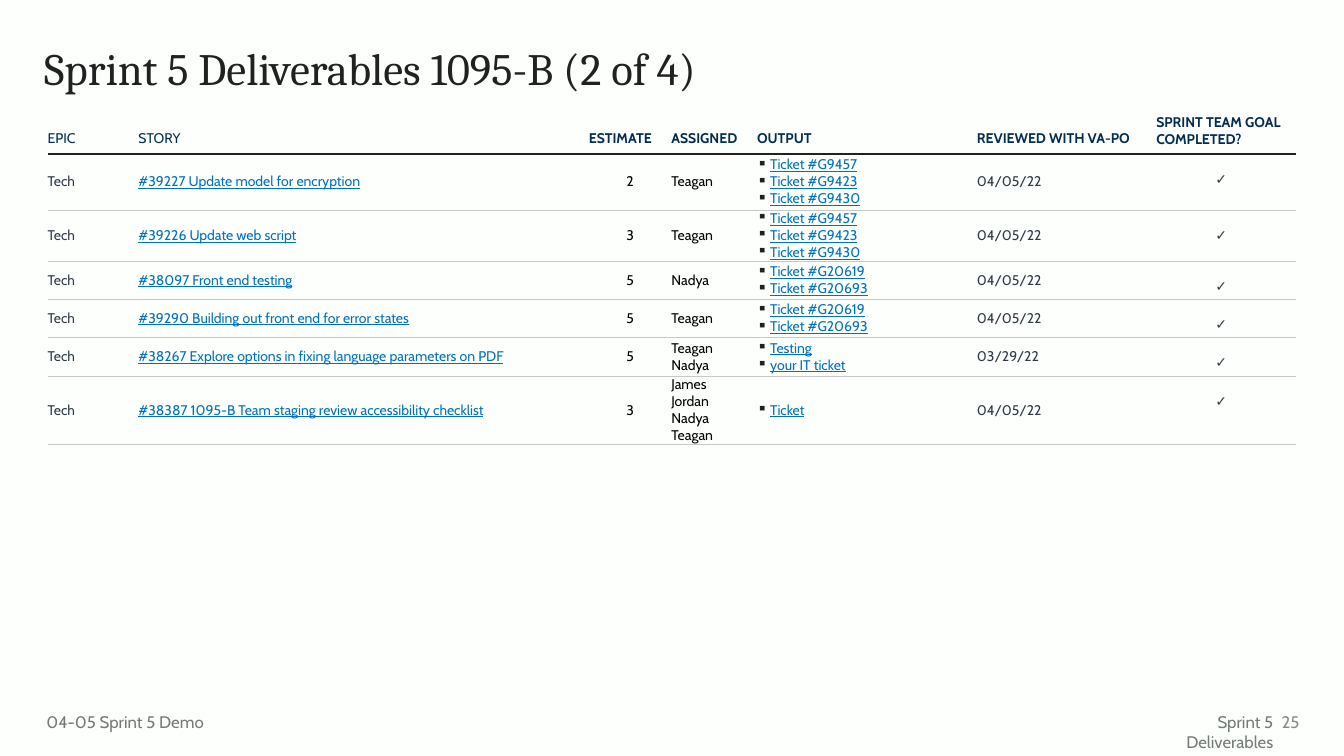
from dataclasses import dataclass

from lxml import etree
from pptx import Presentation
from pptx import util as u
from pptx.dml.color import RGBColor
from pptx.enum import text as t
from pptx.oxml import ns

COLORS = {
    "background": "FDFFFD", "ink": "202120", "header": "022D50", "body": "303A46",
    "link": "0071C0", "black": "000000", "rule": "C7C8C7", "footer": "747C74",
    "page": "8A8A8A",
}
NO_STYLE_NO_GRID = "{2D5ABB26-0587-4C30-8999-92F81FD0307C}"
BULLET_INDENT = u.Cm(0.33)


@dataclass(frozen=True)
class Style:
    color: str
    size: float = 10
    font: str = "Cabin"
    bold: bool = False
    underline: bool = False
    align: t.PP_ALIGN = t.PP_ALIGN.LEFT
    bulleted: bool = False


@dataclass(frozen=True)
class Column:
    heading: str
    width: float
    style: Style
    bold_heading: bool = True
    heading_margins: tuple = (0, 0.25, 0.25, 0)  # left, top, right, bottom in cm
    margins: tuple = (0, 0, 0, 0)
    anchor: t.MSO_ANCHOR = t.MSO_ANCHOR.MIDDLE
    heading_anchor: t.MSO_ANCHOR = t.MSO_ANCHOR.MIDDLE


@dataclass(frozen=True)
class Deliverable:
    height: float
    story: str
    estimate: str
    assigned: str
    output: str
    reviewed: str = "04/05/22"

    def texts(self) -> tuple:
        return ("Tech", self.story, self.estimate, self.assigned, self.output,
                self.reviewed, "✓")


@dataclass(frozen=True)
class Label:
    text: str
    box: tuple  # left, top, width, height in cm
    style: Style
    margins: tuple = (0.25, 0.13, 0.25, 0.13)
    anchor: t.MSO_ANCHOR = t.MSO_ANCHOR.TOP


BODY = Style("body")
LINK = Style("link", underline=True)
CENTER, RIGHT = t.PP_ALIGN.CENTER, t.PP_ALIGN.RIGHT
NARROW = (0, 0, 1.02, 0)
FLUSH_RIGHT = (0, 0.25, 0, 0)

COLUMNS = [
    Column("EPIC", 2.29, BODY, bold_heading=False, margins=NARROW),
    Column("STORY", 11.35, LINK, bold_heading=False),
    Column("ESTIMATE", 2.08, Style("black", align=CENTER)),
    Column("ASSIGNED", 2.16, Style("black"), margins=NARROW),
    Column("OUTPUT", 5.54, Style("link", underline=True, bulleted=True),
           heading_margins=FLUSH_RIGHT),
    Column("REVIEWED WITH VA-PO", 4.27, BODY, heading_margins=FLUSH_RIGHT),
    Column("SPRINT TEAM GOAL COMPLETED?", 3.78, Style("body", align=CENTER),
           heading_margins=(0.25, 0, 0.25, 0), margins=(0, 0.43, 0, 0),
           anchor=t.MSO_ANCHOR.TOP, heading_anchor=t.MSO_ANCHOR.TOP),
]

HEADER_HEIGHT = 1.01
ENCRYPTION_TICKETS = "Ticket #G9457\nTicket #G9423\nTicket #G9430"
FRONT_END_TICKETS = "Ticket #G20619\nTicket #G20693"
DELIVERABLES = [
    Deliverable(1.41, "#39227 Update model for encryption", "2", "Teagan",
                ENCRYPTION_TICKETS),
    Deliverable(1.29, "#39226 Update web script", "3", "Teagan", ENCRYPTION_TICKETS),
    Deliverable(0.96, "#38097 Front end testing", "5", "Nadya", FRONT_END_TICKETS),
    Deliverable(0.96, "#39290 Building out front end for error states", "5", "Teagan",
                FRONT_END_TICKETS),
    Deliverable(0.98, "#38267 Explore options in fixing language parameters on PDF",
                "5", "Teagan Nadya", "Testing\nyour IT ticket", "03/29/22"),
    Deliverable(1.69, "#38387 1095-B Team staging review accessibility checklist",
                "3", "James Jordan\nNadya\nTeagan", "Ticket"),
]

LABELS = [
    Label("25", (31.88, 17.68, 1.12, 1.02), Style("page", 12, align=RIGHT),
          anchor=t.MSO_ANCHOR.MIDDLE),
    Label("Sprint 5 Deliverables", (28.17, 17.81, 4.17, 0.76),
          Style("footer", 12, align=RIGHT)),
    Label("04-05 Sprint 5 Demo", (1.17, 17.81, 7.57, 0.76), Style("footer", 12),
          margins=(0, 0.13, 0.25, 0.13)),
]


def rgb(color: str) -> RGBColor:
    return RGBColor.from_string(COLORS[color])


def set_margins(target, margins: tuple) -> None:
    for side, margin in zip(("left", "top", "right", "bottom"), margins):
        setattr(target, f"margin_{side}", u.Cm(margin))


def add_bullet(paragraph) -> None:
    properties = paragraph._p.get_or_add_pPr()
    properties.set("marL", str(BULLET_INDENT))
    properties.set("indent", str(-BULLET_INDENT))
    bullet_color = etree.SubElement(properties, ns.qn("a:buClr"))
    etree.SubElement(bullet_color, ns.qn("a:srgbClr"), val=COLORS["ink"])
    etree.SubElement(properties, ns.qn("a:buChar"), char="▪")


def write(frame, content: str, style: Style) -> None:
    """Fill a text frame with one paragraph per line of content."""
    frame.text = content
    formats = {"name": style.font, "size": u.Pt(style.size), "bold": style.bold,
               "underline": style.underline}
    for paragraph in frame.paragraphs:
        if style.bulleted:
            add_bullet(paragraph)
        paragraph.alignment = style.align
        for run in paragraph.runs:
            for attribute, value in formats.items():
                setattr(run.font, attribute, value)
            run.font.color.rgb = rgb(style.color)


def add_rule(cell, edge: str, position: int, color: str, points: float) -> None:
    line = etree.Element(ns.qn(f"a:{edge}"), w=str(u.Pt(points)))
    fill = etree.SubElement(line, ns.qn("a:solidFill"))
    etree.SubElement(fill, ns.qn("a:srgbClr"), val=COLORS[color])
    cell._tc.get_or_add_tcPr().insert(position, line)


def fill_cell(cell, content: str, style: Style, margins: tuple,
              anchor: t.MSO_ANCHOR) -> None:
    write(cell.text_frame, content, style)
    set_margins(cell, margins)
    cell.vertical_anchor = anchor
    cell.fill.background()


def add_deliverables(slide) -> None:
    heights = [HEADER_HEIGHT] + [item.height for item in DELIVERABLES]
    frame = slide.shapes.add_table(
        len(heights), len(COLUMNS), u.Cm(1.2), u.Cm(2.87),
        u.Cm(sum(column.width for column in COLUMNS)), u.Cm(sum(heights)))
    table = frame.table
    table.horz_banding = False
    table._tbl.tblPr.find(ns.qn("a:tableStyleId")).text = NO_STYLE_NO_GRID
    for row, height in zip(table.rows, heights):
        row.height = u.Cm(height)
    for index, column in enumerate(COLUMNS):
        table.columns[index].width = u.Cm(column.width)
        heading_cell = table.cell(0, index)
        fill_cell(heading_cell, column.heading, Style("header", bold=column.bold_heading),
                  column.heading_margins, column.heading_anchor)
        rule = ("ink", 1)
        add_rule(heading_cell, "lnB", 0, *rule)
        for number, item in enumerate(DELIVERABLES, start=1):
            cell = table.cell(number, index)
            fill_cell(cell, item.texts()[index], column.style, column.margins,
                      column.anchor)
            add_rule(cell, "lnT", 0, *rule)
            rule = ("rule", 0.5)
            add_rule(cell, "lnB", 1, *rule)


def place_title(title) -> None:
    placement = {"left": 0.86, "top": 1.04, "width": 31.55, "height": 2.08}
    for attribute, length in placement.items():
        setattr(title, attribute, u.Cm(length))
    write(title.text_frame, "Sprint 5 Deliverables 1095-B (2 of 4)",
          Style("ink", 32, "Cambria"))
    title.text_frame.vertical_anchor = t.MSO_ANCHOR.TOP
    title.text_frame.paragraphs[0].line_spacing = 0.9


def add_label(slide, label: Label) -> None:
    frame = slide.shapes.add_textbox(*map(u.Cm, label.box)).text_frame
    frame.word_wrap = True
    frame.vertical_anchor = label.anchor
    set_margins(frame, label.margins)
    write(frame, label.text, label.style)


def main() -> None:
    deck = Presentation()
    deck.slide_width, deck.slide_height = u.Cm(33.87), u.Cm(19.05)
    slide = deck.slides.add_slide(deck.slide_layouts[5])
    slide.background.fill.solid()
    slide.background.fill.fore_color.rgb = rgb("background")
    place_title(slide.shapes.title)
    add_deliverables(slide)
    for label in LABELS:
        add_label(slide, label)
    deck.save("out.pptx")


if __name__ == "__main__":
    main()
